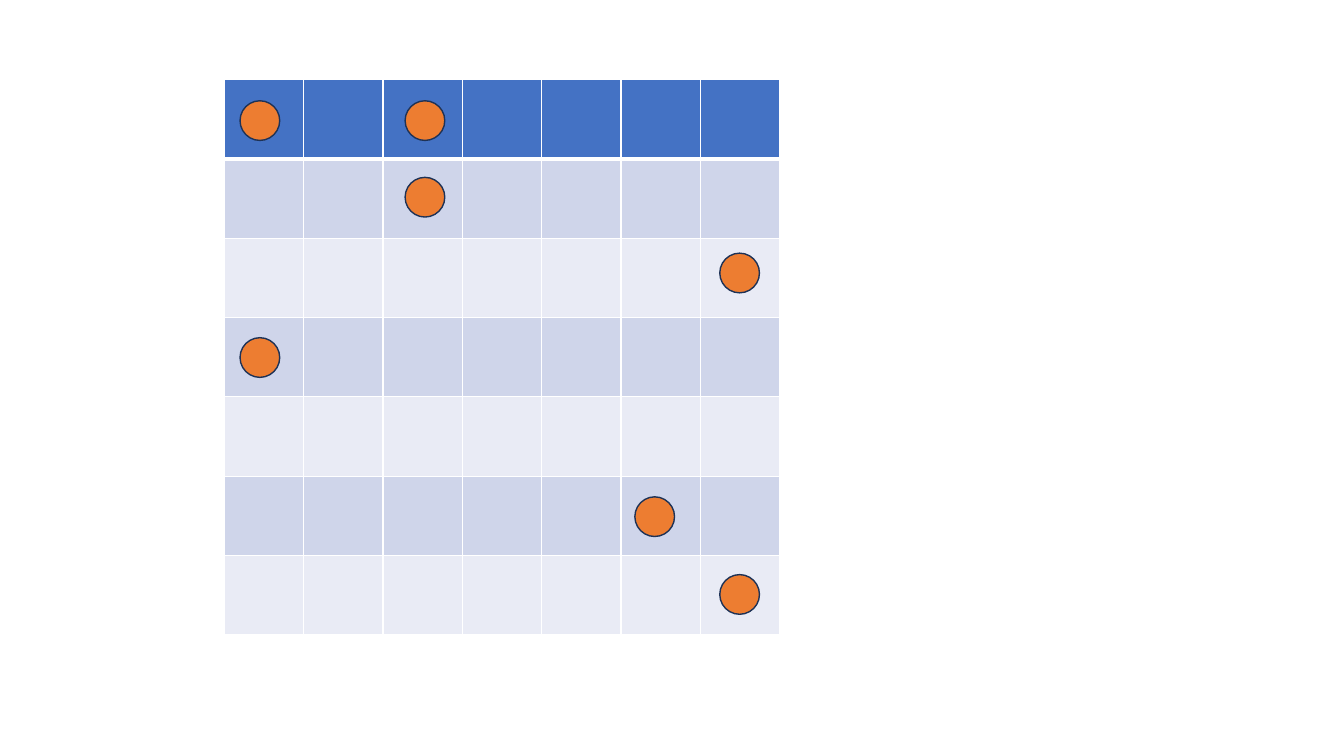
from dataclasses import dataclass

from lxml.etree import SubElement
from pptx import Presentation
from pptx.dml.color import RGBColor
from pptx.enum.shapes import MSO_SHAPE as Shape
from pptx.oxml.ns import qn
from pptx.slide import Slide
from pptx.table import _Cell as Cell
from pptx.util import Cm, Pt

WHITE = RGBColor(0xFF, 0xFF, 0xFF)
BLUE = RGBColor(0x44, 0x72, 0xC4)
DARK = RGBColor(0xCF, 0xD5, 0xEA)
LIGHT = RGBColor(0xE9, 0xEB, 0xF5)
ORANGE = RGBColor(0xED, 0x7D, 0x31)
NAVY = RGBColor(0x1E, 0x32, 0x56)

COUNT = 7
SIDE = 2.0
LEFT, TOP = 5.65, 2.0
DISC = 1.0


@dataclass(frozen=True)
class Piece:
    """A disc on the board, placed by its left and top in centimetres."""
    left: float
    top: float


PIECES = [
    Piece(6.05, 2.54),
    Piece(10.21, 2.54),
    Piece(10.21, 4.47),
    Piece(18.14, 6.38),
    Piece(6.05, 8.51),
    Piece(16.0, 12.52),
    Piece(18.14, 14.48),
]


def add_edge(cell: Cell, side: str, width: float) -> None:
    props = cell._tc.get_or_add_tcPr()
    line = SubElement(props, qn(f"a:ln{side}"), w=str(Pt(width)))
    fill = SubElement(line, qn("a:solidFill"))
    SubElement(fill, qn("a:srgbClr"), val=str(WHITE))


def paint_cell(cell: Cell, row: int) -> None:
    """Edge and fill a cell; a thick rule parts the head row from the rest."""
    widths = {"L": 1, "R": 1, "T": 3 if row == 1 else 1, "B": 3 if row == 0 else 1}
    for side, width in widths.items():
        add_edge(cell, side, width)
    cell.fill.solid()
    if row == 0:
        cell.fill.fore_color.rgb = BLUE
    else:
        cell.fill.fore_color.rgb = DARK if row % 2 else LIGHT


def add_board(slide: Slide) -> None:
    size = Cm(COUNT * SIDE)
    board = slide.shapes.add_table(COUNT, COUNT, Cm(LEFT), Cm(TOP), size, size).table
    for col in board.columns:
        col.width = Cm(SIDE)
    for index, row in enumerate(board.rows):
        row.height = Cm(SIDE)
        for cell in row.cells:
            paint_cell(cell, index)


def add_piece(slide: Slide, piece: Piece) -> None:
    disc = slide.shapes.add_shape(
        Shape.OVAL, Cm(piece.left), Cm(piece.top), Cm(DISC), Cm(DISC))
    disc.shadow.inherit = False
    disc.fill.solid()
    disc.fill.fore_color.rgb = ORANGE
    disc.line.color.rgb = NAVY
    disc.line.width = Pt(1)


def main() -> None:
    deck = Presentation()
    deck.slide_width, deck.slide_height = Cm(33.87), Cm(19.05)
    slide = deck.slides.add_slide(deck.slide_layouts[6])
    add_board(slide)
    for piece in PIECES:
        add_piece(slide, piece)
    deck.save("out.pptx")


if __name__ == "__main__":
    main()
